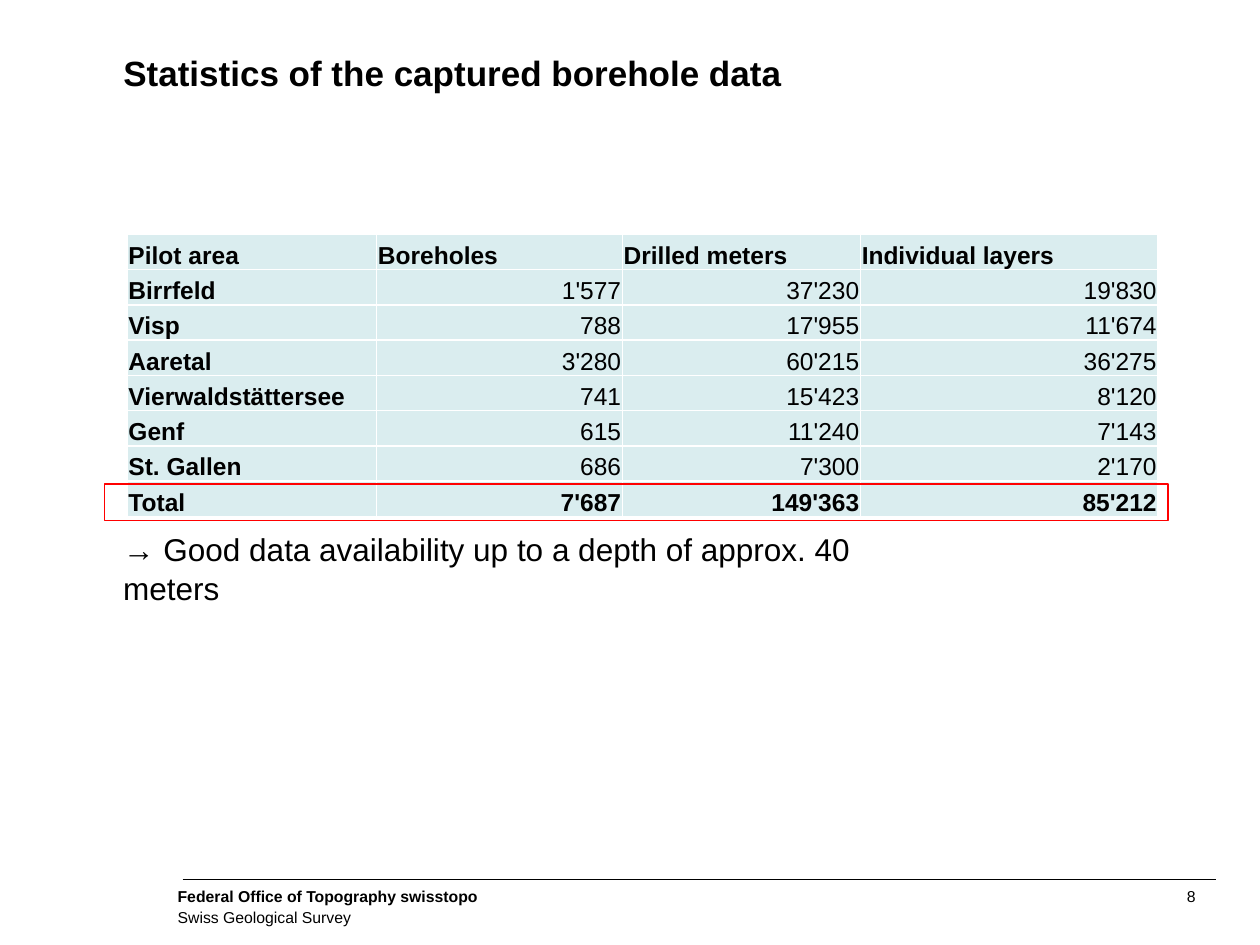
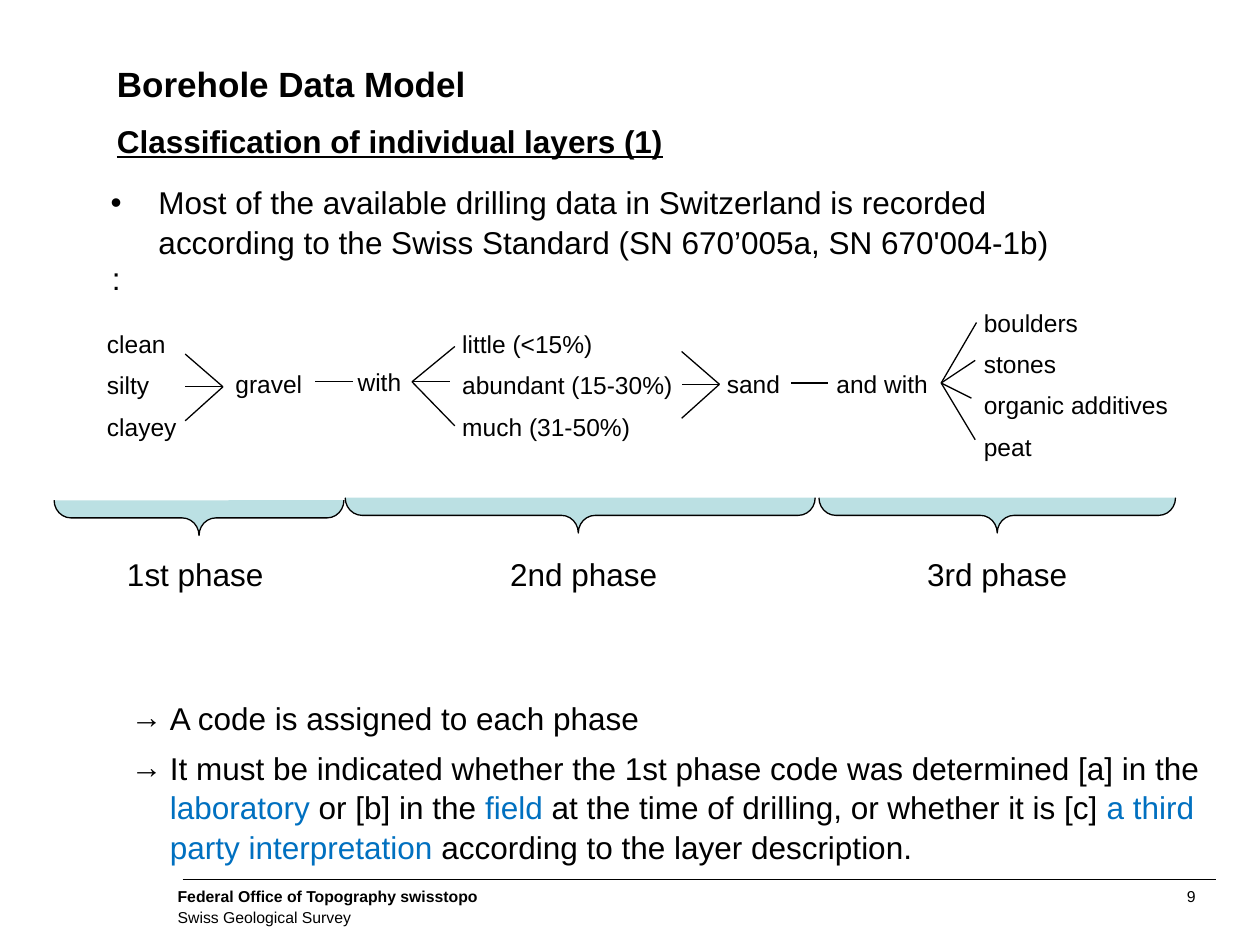
"""Builds two slides on borehole statistics and the borehole data model."""
from lxml.etree import SubElement
from pptx import Presentation
from pptx.dml.color import RGBColor
from pptx.enum.shapes import MSO_CONNECTOR as CONNECTOR, MSO_SHAPE as SHAPE
from pptx.enum.text import MSO_ANCHOR as ANCHOR, PP_ALIGN as ALIGN
from pptx.oxml.ns import qn
from pptx.util import Inches, Pt

COLORS = {"text": "000000", "cell": "DAEDEF", "border": "FFFFFF",
          "frame": "FF0000", "brace": "BBE0E3", "accent": "0070C0"}
FONT = "Arial"
BODY_SPACING = 1.05
INSETS = (0.1, 0.05, 0.1, 0.05)

FOOTER = ("Federal Office of Topography swisstopo", "Swiss Geological Survey")
STATISTICS = [
    ("Pilot area", "Boreholes", "Drilled meters", "Individual layers"),
    ("Birrfeld", "1'577", "37'230", "19'830"),
    ("Visp", "788", "17'955", "11'674"),
    ("Aaretal", "3'280", "60'215", "36'275"),
    ("Vierwaldstättersee", "741", "15'423", "8'120"),
    ("Genf", "615", "11'240", "7'143"),
    ("St. Gallen", "686", "7'300", "2'170"),
    ("Total", "7'687", "149'363", "85'212"),
]
COLUMN_WIDTHS = (1.98, 1.95, 1.89, 2.36)
ROW_HEIGHT = 0.28

STANDARD = ("Most of the available drilling data in Switzerland is recorded "
            "according to the Swiss Standard (SN 670’005a, SN 670'004-1b)")
TERMS = [
    (0.75, 2.55, 1.45, ["clean", "silty", "clayey"]),
    (1.77, 2.87, 1.0, ["gravel"]),
    (2.74, 2.85, 0.97, ["with"]),
    (3.57, 2.55, 2.22, ["little (<15%)", "abundant (15-30%)", "much (31-50%)"]),
    (5.67, 2.87, 1.0, ["sand"]),
    (6.54, 2.87, 1.2, ["and with"]),
    (7.71, 2.38, 2.02, ["boulders", "stones", "organic additives", "peat"]),
]
FANS = [
    ((1.77, 3.07), [(1.47, 2.81), (1.47, 3.07), (1.47, 3.34)]),
    ((2.8, 3.03), [(2.5, 3.03)]),
    ((3.27, 3.03), [(3.61, 2.75), (3.57, 3.03), (3.61, 3.38)]),
    ((5.71, 3.05), [(5.41, 2.79), (5.41, 3.05), (5.41, 3.32)]),
    ((6.57, 3.04), [(6.28, 3.04)]),
    ((7.47, 3.04), [(7.75, 2.56), (7.74, 2.86), (7.71, 3.16), (7.74, 3.49)]),
]
PHASES = [
    ("1st phase", 0.91, (0.43, 3.97, 2.3), 0.5),
    ("2nd phase", 3.95, (2.74, 3.95, 3.73), 0.496),
    ("3rd phase", 7.26, (6.5, 3.95, 2.83), 0.5),
]
BRACE_DEPTH = 0.28
CODING_RULES = [
    [("A code is assigned to each phase", "text")],
    [("It must be indicated whether the 1st phase code was determined [a] in the ", "text"),
     ("laboratory ", "accent"), ("or [b] in the ", "text"), ("field", "accent"),
     (" at the time of drilling, or whether it is [c] ", "text"),
     ("a third party interpretation ", "accent"),
     ("according to the layer description.", "text")],
]


def color(name):
    return RGBColor.from_string(COLORS[name])


def style(paragraph, size, bold=False, underline=False, spacing=None, after=0):
    if spacing:
        paragraph.line_spacing = spacing
    paragraph.space_after = Pt(after)
    font = paragraph.font
    font.name, font.size, font.bold = FONT, Pt(size), bold
    font.color.rgb = color("text")
    if underline:
        font.underline = True


def set_bullet(paragraph, character, margin, hanging):
    properties = paragraph._p.get_or_add_pPr()
    properties.set("marL", str(Inches(margin)))
    properties.set("indent", str(-Inches(hanging)))
    SubElement(properties, qn("a:buFont")).set("typeface", FONT)
    SubElement(properties, qn("a:buChar")).set("char", character)


def add_text(slide, box, paragraphs, size, insets=INSETS, bullet=None, **look):
    frame = slide.shapes.add_textbox(*map(Inches, box)).text_frame
    frame.word_wrap = True
    (frame.margin_left, frame.margin_top,
     frame.margin_right, frame.margin_bottom) = map(Inches, insets)
    for index, content in enumerate(paragraphs):
        paragraph = frame.add_paragraph() if index else frame.paragraphs[0]
        if bullet:
            set_bullet(paragraph, *bullet)
        style(paragraph, size, **look)
        if isinstance(content, str):
            paragraph.add_run().text = content
            continue
        for text, color_name in content:
            run = paragraph.add_run()
            run.text = text
            if color_name != "text":
                run.font.color.rgb = color(color_name)
    return frame


def add_body(slide, box, paragraphs, size=18, **look):
    return add_text(slide, box, paragraphs, size,
                    spacing=BODY_SPACING, after=6, **look)


def add_line(slide, start, end):
    line = slide.shapes.add_connector(
        CONNECTOR.STRAIGHT, *map(Inches, start + end))
    line.line.color.rgb = color("text")
    line.line.width = Pt(0.75)
    SubElement(line._element.spPr, qn("a:effectLst"))


def add_outline(slide, kind, box, line, fill=None):
    shape = slide.shapes.add_shape(kind, *map(Inches, box))
    shape.shadow.inherit = False
    shape.line.color.rgb = color(line)
    shape.line.width = Pt(0.75)
    if fill:
        shape.fill.solid()
        shape.fill.fore_color.rgb = color(fill)
    else:
        shape.fill.background()
    return shape


def new_slide(presentation, number):
    slide = presentation.slides.add_slide(presentation.slide_layouts[6])
    no_insets = (0, 0, 0, 0)
    office = add_text(slide, (1.41, 7.02, 3.85, 0.34), FOOTER, 9, no_insets,
                      spacing=Pt(12))
    office.paragraphs[0].font.bold = True
    page = add_text(slide, (7.05, 7.03, 2.44, 0.16), [str(number)], 9, no_insets,
                    spacing=BODY_SPACING)
    page.paragraphs[0].alignment = ALIGN.RIGHT
    add_line(slide, (1.45, 6.98), (9.65, 6.98))
    return slide


def add_title(slide, box, text, spacing=None):
    add_text(slide, box, [text], 20, bold=True, spacing=spacing)


def set_borders(cell):
    properties = cell._tc.get_or_add_tcPr()
    for index, side in enumerate(("lnL", "lnR", "lnT", "lnB")):
        border = properties.makeelement(qn(f"a:{side}"), {"w": str(Pt(1))})
        fill = SubElement(border, qn("a:solidFill"))
        SubElement(fill, qn("a:srgbClr")).set("val", COLORS["border"])
        properties.insert(index, border)


def fill_cell(cell, text, bold, numeric):
    cell.margin_left = cell.margin_right = cell.margin_top = Inches(0.01)
    cell.margin_bottom = 0
    cell.vertical_anchor = ANCHOR.BOTTOM
    cell.fill.solid()
    cell.fill.fore_color.rgb = color("cell")
    set_borders(cell)
    paragraph = cell.text_frame.paragraphs[0]
    paragraph.add_run().text = text
    paragraph.alignment = ALIGN.RIGHT if numeric else ALIGN.LEFT
    style(paragraph, 14, bold=bold)


def add_statistics_table(slide):
    rows, columns = len(STATISTICS), len(COLUMN_WIDTHS)
    table = slide.shapes.add_table(
        rows, columns, Inches(1.01), Inches(1.86),
        Inches(sum(COLUMN_WIDTHS)), Inches(rows * ROW_HEIGHT)).table
    for column, width in zip(table.columns, COLUMN_WIDTHS):
        column.width = Inches(width)
    for row_index, values in enumerate(STATISTICS):
        table.rows[row_index].height = Inches(ROW_HEIGHT)
        for column_index, text in enumerate(values):
            bold = row_index in (0, rows - 1) or column_index == 0
            numeric = row_index > 0 and column_index > 0
            fill_cell(table.cell(row_index, column_index), text, bold, numeric)


def build_statistics(presentation):
    slide = new_slide(presentation, 8)
    add_title(slide, (0.88, 0.36, 6.01, 0.59),
              "Statistics of the captured borehole data")
    add_body(slide, (0.88, 4.14, 6.6, 0.59),
             ["→ Good data availability up to a depth of approx. 40 meters"])
    add_statistics_table(slide)
    add_outline(slide, SHAPE.RECTANGLE, (0.83, 3.84, 8.44, 0.29), "frame")


def add_phase(slide, label, label_left, brace, tip):
    left, top, length = brace
    box = (left + (length - BRACE_DEPTH) / 2, top + (BRACE_DEPTH - length) / 2,
           BRACE_DEPTH, length)
    shape = add_outline(slide, SHAPE.LEFT_BRACE, box, "text", "brace")
    shape.rotation = 270
    shape.adjustments[0], shape.adjustments[1] = 0.476, tip
    add_body(slide, (label_left, 4.34, 1.6, 0.66), [label])


def build_data_model(presentation):
    slide = new_slide(presentation, 9)
    add_title(slide, (0.83, 0.28, 8.86, 0.54), "Borehole Data Model", spacing=1.5)
    add_text(slide, (0.83, 0.92, 8.86, 0.4),
             ["Classification of individual layers (1)"], 18,
             bold=True, underline=True)
    add_text(slide, (0.78, 1.39, 8.1, 0.65), [STANDARD], 18,
             bullet=("•", 0.38, 0.38), spacing=BODY_SPACING)
    add_body(slide, (0.79, 1.99, 0.5, 0.4), [":"])
    for phase in PHASES:
        add_phase(slide, *phase)
    for left, top, width, words in TERMS:
        add_body(slide, (left, top, width, 0.1 + 0.32 * len(words)), words, 14)
    for hub, ends in FANS:
        for end in ends:
            add_line(slide, hub, end)
    add_body(slide, (0.92, 5.48, 9.05, 1.4), CODING_RULES,
             bullet=("→", 0.33, 0.31))


def main():
    presentation = Presentation()
    presentation.slide_width, presentation.slide_height = Inches(10), Inches(7.5)
    build_statistics(presentation)
    build_data_model(presentation)
    presentation.save("out.pptx")


if __name__ == "__main__":
    main()
